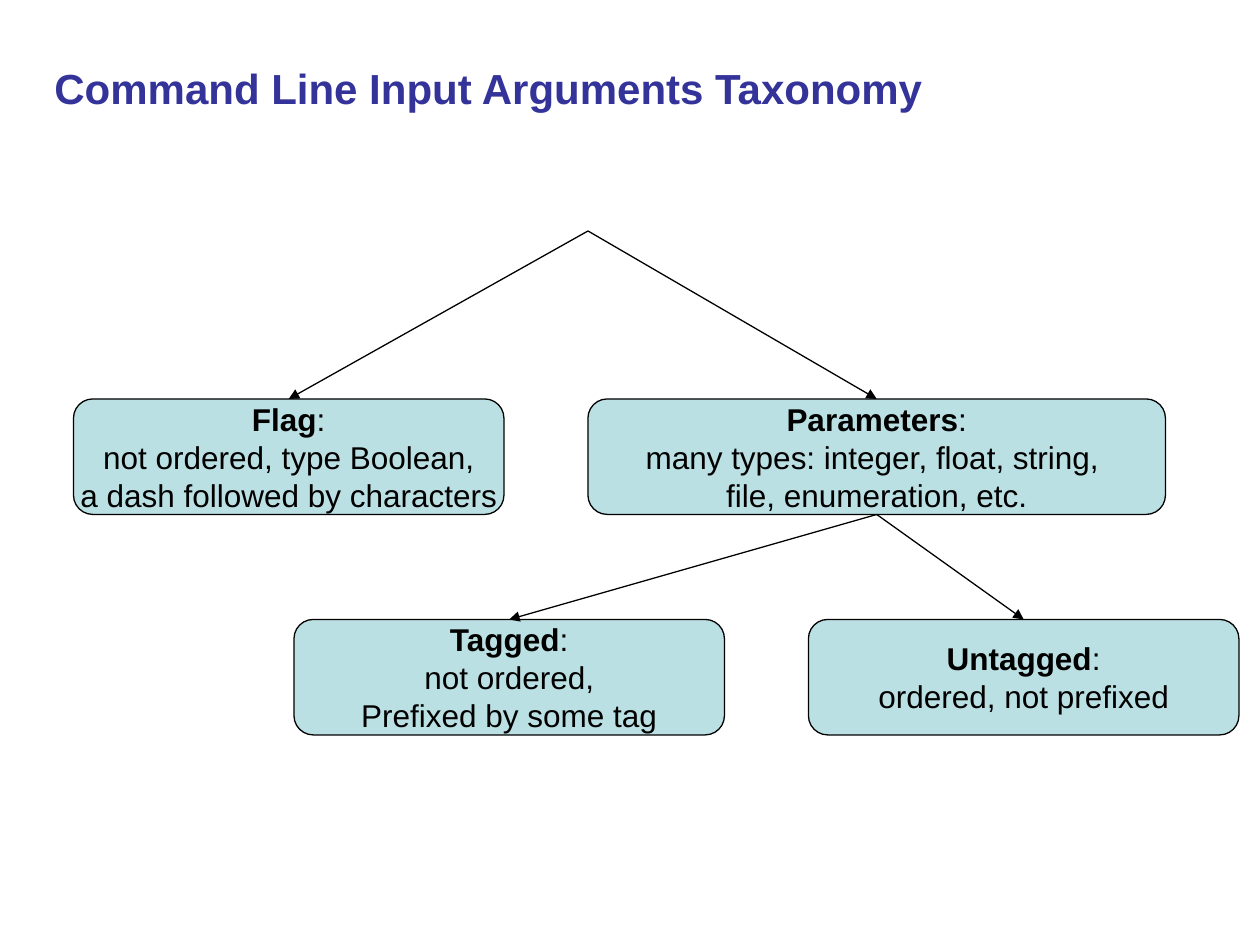
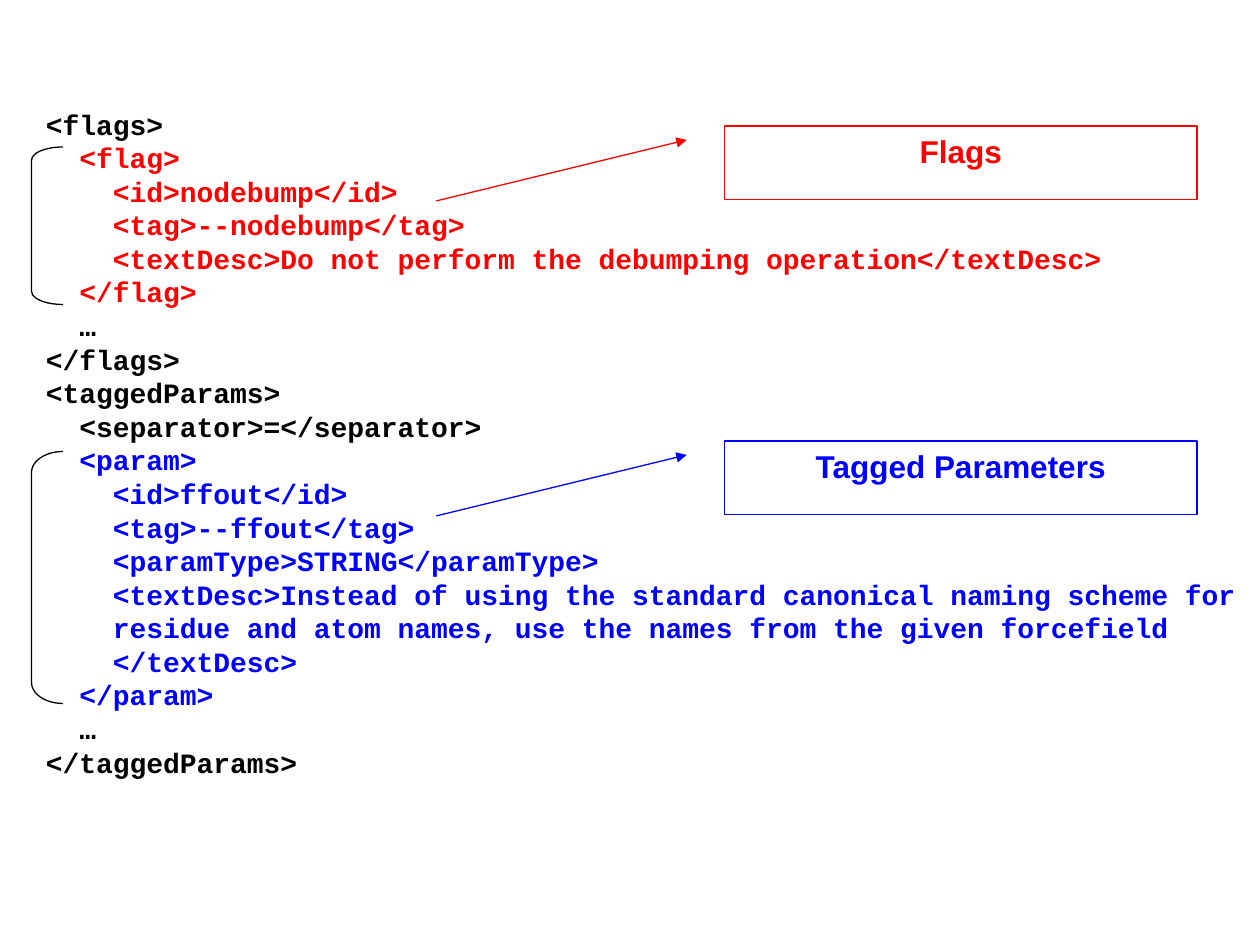
from dataclasses import dataclass

from lxml.etree import SubElement
from pptx import Presentation
from pptx.dml.color import RGBColor
from pptx.enum.shapes import MSO_CONNECTOR, MSO_SHAPE
from pptx.enum.text import MSO_ANCHOR, PP_ALIGN
from pptx.oxml.ns import qn
from pptx.util import Inches, Pt


@dataclass(frozen=True)
class Theme:
    title: RGBColor = RGBColor(0x33, 0x33, 0x99)
    node: RGBColor = RGBColor(0xBB, 0xE0, 0xE3)
    paper: RGBColor = RGBColor(0xFF, 0xFF, 0xFF)
    ink: RGBColor = RGBColor(0x00, 0x00, 0x00)
    flag: RGBColor = RGBColor(0xFF, 0x00, 0x00)
    param: RGBColor = RGBColor(0x00, 0x00, 0xFF)
    sans: str = "Arial"
    mono: str = "Courier New"
    title_size: Pt = Pt(24)
    label_size: Pt = Pt(18)
    code_size: Pt = Pt(16)
    code_pitch: Pt = Pt(19.2)
    stroke: Pt = Pt(0.75)


theme = Theme()
deck = Presentation()
deck.slide_width, deck.slide_height = Inches(10), Inches(7.5)
cell = deck.slide_width // 120
blank = deck.slide_layouts[6]


def style_text(paragraph, color, size, face=theme.sans, bold=True):
    for run in paragraph.runs:
        run.font.name, run.font.size, run.font.bold = face, size, bold
        run.font.color.rgb = color


def add_outlined(slide, preset, column, row, columns, rows, stroke, fill=None):
    outlined = slide.shapes.add_shape(
        preset, column * cell, row * cell, columns * cell, rows * cell
    )
    outlined.shadow.inherit = False
    if fill is None:
        outlined.fill.background()
    else:
        outlined.fill.solid()
        outlined.fill.fore_color.rgb = fill
    outlined.line.color.rgb = stroke
    outlined.line.width = theme.stroke
    return outlined


taxonomy = deck.slides.add_slide(blank)
heading = taxonomy.shapes.add_textbox(4 * cell, 4 * cell, 108 * cell, Inches(0.72))
heading.text_frame.word_wrap = True
heading.text_frame.vertical_anchor = MSO_ANCHOR.MIDDLE
heading.text_frame.text = "Command Line Input Arguments Taxonomy"
style_text(heading.text_frame.paragraphs[0], theme.title, theme.title_size)

upper_row, lower_row = 38, 59
kinds = [
    ("Flag", 7, upper_row, 41, ["not ordered, type Boolean,", "a dash followed by characters"]),
    ("Tagged", 28, lower_row, 41, ["not ordered,", "Prefixed by some tag"]),
    ("Untagged", 77, lower_row, 41, ["ordered, not prefixed"]),
    ("Parameters", 56, upper_row, 55,
     ["many types: integer, float, string, ", "file, enumeration, etc."]),
]
nodes = {}
for kind, column, row, columns, traits in kinds:
    node = add_outlined(taxonomy, MSO_SHAPE.FLOWCHART_ALTERNATE_PROCESS,
                        column, row, columns, 11, theme.ink, theme.node)
    frame = node.text_frame
    frame.word_wrap = False
    frame.vertical_anchor = MSO_ANCHOR.MIDDLE
    frame.text = "\n".join([kind, *traits])
    frame.paragraphs[0].add_run().text = ":"
    for paragraph in frame.paragraphs:
        paragraph.alignment = PP_ALIGN.CENTER
        style_text(paragraph, theme.ink, theme.label_size, bold=False)
    frame.paragraphs[0].runs[0].font.bold = True
    nodes[kind] = node

branches = [(None, "Flag"), (None, "Parameters"),
            ("Parameters", "Tagged"), ("Parameters", "Untagged")]
for parent, child in branches:
    branch = taxonomy.shapes.add_connector(
        MSO_CONNECTOR.STRAIGHT, 56 * cell, 22 * cell, 56 * cell, upper_row * cell
    )
    if parent:
        branch.begin_connect(nodes[parent], 2)
    branch.end_connect(nodes[child], 0)
    branch.line.color.rgb = theme.ink
    branch.line.width = theme.stroke
    SubElement(branch.element.spPr.find(qn("a:ln")), qn("a:tailEnd"), type="triangle")
    SubElement(branch.element.spPr, qn("a:effectLst"))

listing = deck.slides.add_slide(blank)
code = [
    (theme.ink, """  <flags>"""),
    (theme.flag, """    <flag>
      <id>nodebump</id>
      <tag>--nodebump</tag>
      <textDesc>Do not perform the debumping operation</textDesc>
    </flag>"""),
    (theme.ink, """    …
  </flags>
  <taggedParams>
    <separator>=</separator>"""),
    (theme.param, """    <param>
      <id>ffout</id>
      <tag>--ffout</tag>
      <paramType>STRING</paramType>
      <textDesc>Instead of using the standard canonical naming scheme for
      residue and atom names, use the names from the given forcefield
      </textDesc>
    </param>"""),
    (theme.ink, """    …
  </taggedParams>"""),
]
code_lines = [(color, line) for color, part in code for line in part.split("\n")]
source = listing.shapes.add_textbox(0, 0, deck.slide_width, 78 * cell).text_frame
source.word_wrap = True
source.margin_top = Inches(0.05) + 3 * theme.code_pitch
source.text = "\n".join(line for color, line in code_lines)
for paragraph, (color, line) in zip(source.paragraphs, code_lines):
    paragraph.line_spacing = theme.code_pitch
    style_text(paragraph, color, theme.code_size, theme.mono)

for label, row, color in [("Flags", 12, theme.flag), ("Tagged Parameters", 42, theme.param)]:
    callout = add_outlined(listing, MSO_SHAPE.LINE_CALLOUT_1, 69, row, 45, 7, color, theme.paper)
    for index, share in enumerate([0.19, -0.08, 1.02, -0.61]):
        callout.adjustments[index] = share
    SubElement(callout.element.spPr.find(qn("a:ln")), qn("a:headEnd"), type="triangle")
    callout.text_frame.word_wrap = True
    callout.text_frame.vertical_anchor = MSO_ANCHOR.TOP
    callout.text_frame.text = label
    callout.text_frame.paragraphs[0].alignment = PP_ALIGN.CENTER
    style_text(callout.text_frame.paragraphs[0], color, theme.label_size)

bracket_columns = 3
for row, rows in [(14, 15), (43, 24)]:
    bracket = add_outlined(listing, MSO_SHAPE.LEFT_BRACKET, 3, row, bracket_columns, rows, theme.ink)
    bracket.adjustments[0] = rows / 12 / bracket_columns

deck.save("out.pptx")
